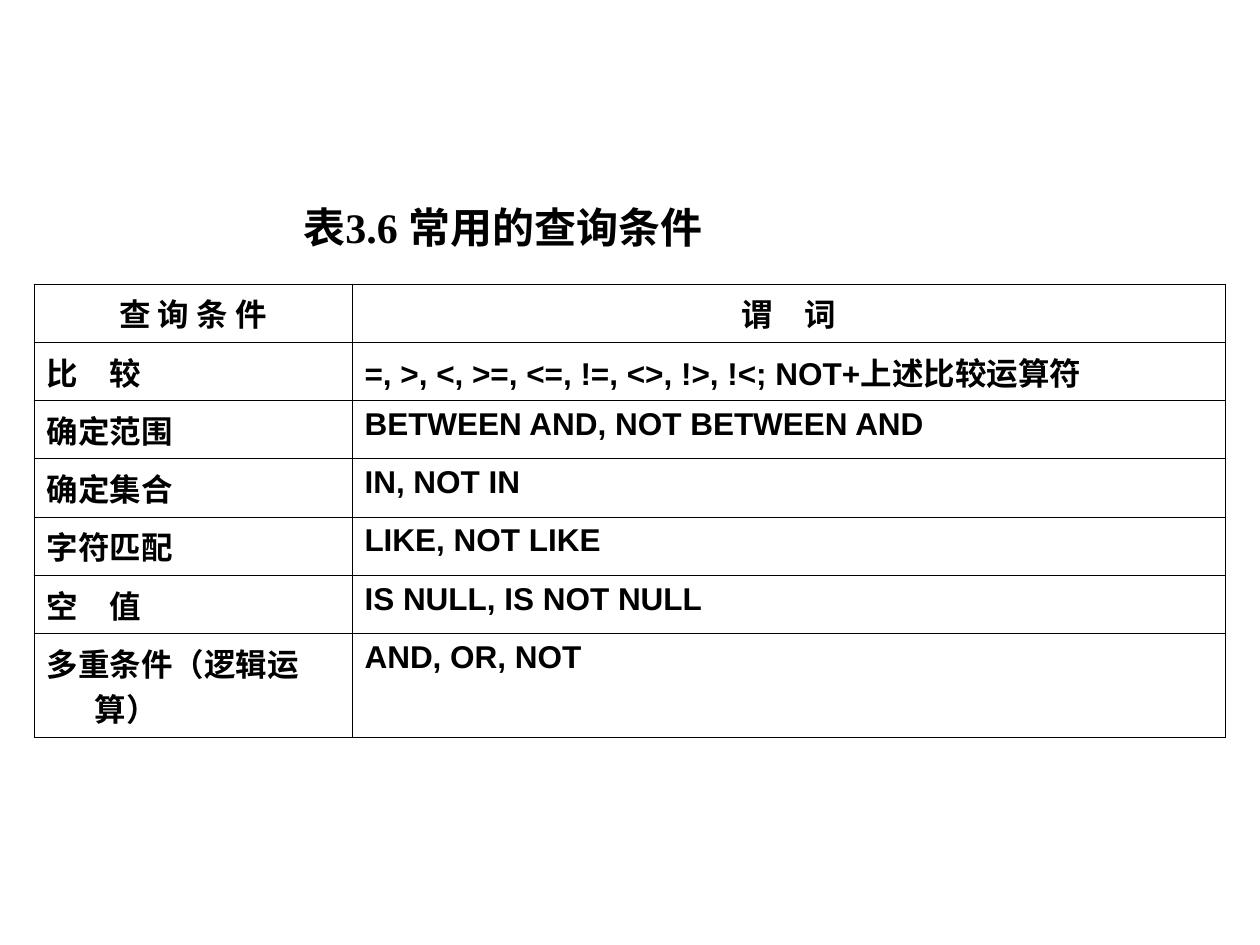
import pptx
import pptx.dml.color
import pptx.enum.text
import pptx.oxml
import pptx.oxml.ns
import pptx.util

PX = 914400 // 126
BLACK = pptx.dml.color.RGBColor(0, 0, 0)
HANGING = 48
BORDER_PT = 0.45

COLUMN_WIDTHS = [318, 873]
ROW_HEIGHTS = [50] * 6 + [88]
CONDITIONS = [
    ("查 询 条 件", "谓　词"),
    ("比　较", "=, >, <, >=, <=, !=, <>, !>, !<; NOT+上述比较运算符"),
    ("确定范围", "BETWEEN AND, NOT BETWEEN AND"),
    ("确定集合", "IN, NOT IN"),
    ("字符匹配", "LIKE, NOT LIKE"),
    ("空　值", "IS NULL, IS NOT NULL"),
    ("多重条件（逻辑运算）", "AND, OR, NOT"),
]


def px(length):
    return pptx.util.Emu(length * PX)


def write_text(frame, text, *, size, font, align=pptx.enum.text.PP_ALIGN.LEFT):
    """Fill a text frame with one bold paragraph that has a hanging indent."""
    para = frame.paragraphs[0]
    para.alignment = align
    properties = para._p.get_or_add_pPr()
    properties.set("marL", str(px(HANGING)))
    properties.set("indent", str(px(-HANGING)))
    span = para.add_run()
    span.text = text
    span.font.size = pptx.util.Pt(size)
    span.font.name = font
    span.font.bold = True
    span.font.color.rgb = BLACK


def set_borders(cell):
    width = pptx.util.Pt(BORDER_PT)
    properties = cell._tc.get_or_add_tcPr()
    for side in ("lnL", "lnR", "lnT", "lnB"):
        properties.append(pptx.oxml.parse_xml(
            f'<a:{side} {pptx.oxml.ns.nsdecls("a")} w="{width}">'
            f'<a:solidFill><a:srgbClr val="{BLACK}"/></a:solidFill></a:{side}>'))


def add_title(page, text):
    box = page.shapes.add_textbox(px(291), px(195), px(538), px(63))
    box.text_frame.word_wrap = False
    box.text_frame.auto_size = pptx.enum.text.MSO_AUTO_SIZE.SHAPE_TO_FIT_TEXT
    write_text(box.text_frame, text, size=24, font="Times New Roman")


def add_condition_table(page):
    holder = page.shapes.add_table(
        len(CONDITIONS), len(COLUMN_WIDTHS),
        px(34), px(284), px(sum(COLUMN_WIDTHS)), px(sum(ROW_HEIGHTS)))
    table = holder.table
    table.first_row = False
    table.horz_banding = False
    for column, width in zip(table.columns, COLUMN_WIDTHS):
        column.width = px(width)
    for row, height in zip(table.rows, ROW_HEIGHTS):
        row.height = px(height)

    # Centred header row, left-aligned body
    aligns = pptx.enum.text.PP_ALIGN
    for row_index, texts in enumerate(CONDITIONS):
        align = aligns.LEFT if row_index else aligns.CENTER
        for column_index, text in enumerate(texts):
            cell = table.cell(row_index, column_index)
            set_borders(cell)
            cell.fill.background()
            write_text(cell.text_frame, text, size=18, font="Arial", align=align)


def main():
    deck = pptx.Presentation()
    deck.slide_width = px(1260)
    deck.slide_height = px(945)
    page = deck.slides.add_slide(deck.slide_layouts[6])
    add_condition_table(page)
    add_title(page, "表3.6 常用的查询条件")
    deck.save("out.pptx")


if __name__ == "__main__":
    main()
